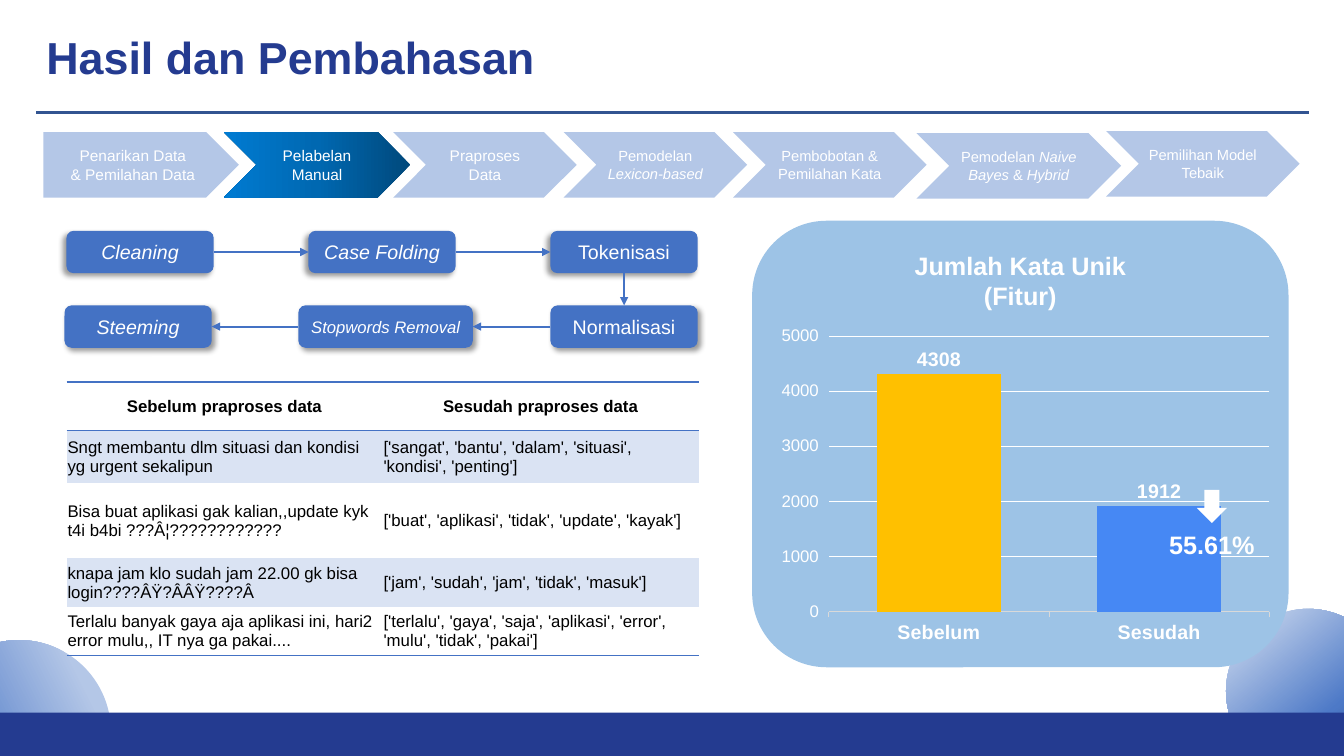
from dataclasses import dataclass

from lxml import etree
from pptx import Presentation
from pptx.chart.data import CategoryChartData
from pptx.dml.color import RGBColor
from pptx.enum.chart import XL_CHART_TYPE, XL_LABEL_POSITION, XL_TICK_MARK
from pptx.enum.shapes import MSO_CONNECTOR, MSO_SHAPE
from pptx.enum.text import MSO_ANCHOR, MSO_AUTO_SIZE, PP_ALIGN
from pptx.oxml.ns import qn
from pptx.util import Inches, Pt

COLUMN = XL_CHART_TYPE.COLUMN_CLUSTERED
OUTSIDE_END = XL_LABEL_POSITION.OUTSIDE_END
TICK_OUT = XL_TICK_MARK.OUTSIDE
STRAIGHT = MSO_CONNECTOR.STRAIGHT
OVAL, RECT, ROUND = MSO_SHAPE.OVAL, MSO_SHAPE.RECTANGLE, MSO_SHAPE.ROUNDED_RECTANGLE
PENTAGON, CHEVRON, DOWN_ARROW = MSO_SHAPE.PENTAGON, MSO_SHAPE.CHEVRON, MSO_SHAPE.DOWN_ARROW
MIDDLE, NO_AUTOFIT = MSO_ANCHOR.MIDDLE, MSO_AUTO_SIZE.NONE
LEFT, CENTER = PP_ALIGN.LEFT, PP_ALIGN.CENTER
TOP, LEFT_SIDE, BOTTOM, RIGHT_SIDE = range(4)
NO_STYLE = "{2D5ABB26-0587-4C30-8999-92F81FD0307C}"


@dataclass(frozen=True)
class Theme:
    """Colours, font and type sizes of the slide."""
    font: str = "Arial"
    navy: str = "243B90"
    rule: str = "325491"
    blue: str = "4472C4"
    pale: str = "B4C7E7"
    band: str = "DAE3F3"
    panel: str = "9DC3E6"
    amber: str = "FFC000"
    bright: str = "4688F4"
    axis: str = "D9D9D9"
    white: str = "FFFFFF"
    black: str = "000000"
    right_disc: tuple = ((16, "B4C7E7"), (63, "4D79C7"), (100, "264478"))
    left_disc: tuple = ((26, "B4C7E7"), (72, "4D79C7"), (100, "264478"))
    active: tuple = ((0, "00497C"), (50, "0068B1"), (100, "007BD2"))
    title_size: float = 32
    heading_size: float = 18
    box_size: float = 14
    small_box_size: float = 11.9
    table_size: float = 12
    step_size: float = 11
    small_step_size: float = 10.5


T = Theme()
STEPS = [
    (0.43, 1.31, 1.94, T.step_size, [[("Penarikan Data", False)], [("& Pemilahan Data", False)]]),
    (2.22, 1.31, 1.85, T.step_size, [[("Pelabelan Manual", False)]]),
    (3.9, 1.31, 1.82, T.step_size, [[("Praproses Data", False)]]),
    (5.59, 1.31, 1.82, T.small_step_size, [[("Pemodelan ", False), ("Lexicon-based", True)]]),
    (7.27, 1.31, 1.92, T.small_step_size, [[("Pembobotan & Pemilahan Kata", False)]]),
    (9.09, 1.32, 2.03, T.small_step_size,
     [[("Pemodelan ", False), ("Naive Bayes ", True), ("&", False), (" Hybrid", True)]]),
    (10.97, 1.3, 1.92, T.small_step_size, [[("Pemilihan Model Tebaik", False)]]),
]
ACTIVE_STEP = 1
FLOW = [
    ("Cleaning", 0.66, 2.29, 1.46, T.box_size, True),
    ("Case Folding", 3.06, 2.29, 1.46, T.box_size, True),
    ("Tokenisasi", 5.46, 2.29, 1.46, T.box_size, False),
    ("Normalisasi", 5.46, 3.03, 1.46, T.box_size, False),
    ("Stopwords Removal", 2.96, 3.03, 1.73, T.small_box_size, True),
    ("Steeming", 0.64, 3.03, 1.46, T.box_size, True),
]
FLOW_SIDES = [(RIGHT_SIDE, LEFT_SIDE)] * 2 + [(BOTTOM, TOP)] + [(LEFT_SIDE, RIGHT_SIDE)] * 2
ROWS = [
    ("Sebelum praproses data", "Sesudah praproses data"),
    ("Sngt membantu dlm situasi dan kondisi yg urgent sekalipun",
     "['sangat', 'bantu', 'dalam', 'situasi', 'kondisi', 'penting']"),
    ("Bisa buat aplikasi gak kalian,,update kyk t4i b4bi ???Â¦????????????",
     "['buat', 'aplikasi', 'tidak', 'update', 'kayak']"),
    ("knapa jam klo sudah jam 22.00 gk bisa login????ÂŸ?ÂÂŸ????Â",
     "['jam', 'sudah', 'jam', 'tidak', 'masuk']"),
    ("Terlalu banyak gaya aja aplikasi ini, hari2 error mulu,, IT nya ga pakai....",
     "['terlalu', 'gaya', 'saja', 'aplikasi', 'error', 'mulu', 'tidak', 'pakai']"),
]
ROW_HEIGHTS = [0.48, 0.52, 0.75, 0.48, 0.48]


def rgb(color):
    """Turn a hex string into a colour."""
    return RGBColor.from_string(color)


def style(font, size, color, bold=False, italic=False):
    """Format a font."""
    font.name, font.size, font.bold, font.italic = T.font, Pt(size), bold, italic
    font.color.rgb = rgb(color)


def write(tf, paragraphs, size, color=T.white, bold=False, align=CENTER):
    """Fill a text frame with paragraphs of (text, italic) runs."""
    tf.word_wrap, tf.vertical_anchor = True, MIDDLE
    for i, runs in enumerate(paragraphs):
        p = tf.add_paragraph() if i else tf.paragraphs[0]
        p.alignment = align
        for text, italic in runs:
            r = p.add_run()
            r.text = text
            style(r.font, size, color, bold, italic)


def add_block(slide, kind, box, fill):
    """Add a flat preset shape; fill is a colour."""
    sp = slide.shapes.add_shape(kind, *map(Inches, box))
    sp.shadow.inherit = False
    sp.fill.solid()
    sp.fill.fore_color.rgb = rgb(fill)
    sp.line.fill.background()
    return sp


def set_gradient(sp, stops, angle):
    """Give a shape a linear gradient, with a clockwise angle."""
    sp.fill.gradient()
    sp.fill.gradient_angle = -angle % 360
    gs_list = sp._element.spPr.find(".//" + qn("a:gsLst"))
    gs_list.clear()
    for position, color in stops:
        gs = etree.SubElement(gs_list, qn("a:gs"), pos=str(position * 1000))
        etree.SubElement(gs, qn("a:srgbClr"), val=color)


def set_shadow(sp, angle):
    """Give a shape a soft black shadow."""
    effects = sp._element.spPr.find(qn("a:effectLst"))
    shadow = etree.SubElement(effects, qn("a:outerShdw"), blurRad=str(Pt(4)), dist=str(Pt(3)),
                              dir=str(angle * 60000), rotWithShape="0")
    color = etree.SubElement(shadow, qn("a:srgbClr"), val=T.black)
    etree.SubElement(color, qn("a:alpha"), val="40000")


def add_line(slide, start, end, color, width):
    """Add a straight connector without shadow."""
    cx = slide.shapes.add_connector(STRAIGHT, *map(Inches, start + end))
    cx.line.color.rgb, cx.line.width = rgb(color), Pt(width)
    etree.SubElement(cx._element.spPr, qn("a:effectLst"))
    return cx


def add_arrow(slide, source, target, sides):
    """Join two boxes with an arrow."""
    cx = add_line(slide, (0, 0), (0, 0), T.blue, 1.5)
    cx.begin_connect(source, sides[0])
    cx.end_connect(target, sides[1])
    etree.SubElement(cx.line._get_or_add_ln(), qn("a:tailEnd"), type="triangle")


def add_label(slide, box, text):
    """Add a bold white label."""
    tb = slide.shapes.add_textbox(*map(Inches, box))
    write(tb.text_frame, [[(text, False)]], T.heading_size, bold=True)


def add_title(slide, text):
    """Place and format the title placeholder."""
    title = slide.shapes.title
    title.left, title.top, title.width, title.height = map(Inches, (0.36, 0.24, 5.08, 0.64))
    write(title.text_frame, [[(text, False)]], T.title_size, T.navy, True, LEFT)
    title.text_frame.word_wrap, title.text_frame.auto_size = False, NO_AUTOFIT


def add_flow(slide):
    """Add the preprocessing boxes and the arrows between them."""
    boxes = []
    for i, (text, left, top, width, size, italic) in enumerate(FLOW):
        sp = add_block(slide, ROUND, (left, top, width, 0.42), T.blue)
        set_shadow(sp, 135 if i < 3 else 45)
        write(sp.text_frame, [[(text, italic)]], size)
        boxes.append(sp)
    for source, target, sides in zip(boxes, boxes[1:], FLOW_SIDES):
        add_arrow(slide, source, target, sides)


def add_border(cell, side):
    """Draw one border of a cell."""
    ln = etree.SubElement(cell._tc.get_or_add_tcPr(), qn("a:" + side), w=str(Pt(1)))
    fill = etree.SubElement(ln, qn("a:solidFill"))
    etree.SubElement(fill, qn("a:srgbClr"), val=T.blue)


def add_comparison(slide):
    """Add the table of reviews before and after preprocessing."""
    frame = slide.shapes.add_table(len(ROWS), 2, *map(Inches, (0.66, 3.79, 6.27, sum(ROW_HEIGHTS))))
    table = frame.table
    table.first_row = table.horz_banding = False
    table._tbl.tblPr.find(qn("a:tableStyleId")).text = NO_STYLE
    for i, (texts, height) in enumerate(zip(ROWS, ROW_HEIGHTS)):
        table.rows[i].height = Inches(height)
        header = i == 0
        borders = ("lnT", "lnB") if header else ("lnB",) if i == len(ROWS) - 1 else ()
        for cell, text in zip(table.rows[i].cells, texts):
            margin = Inches(0.08 if header else 0.01)
            cell.margin_left = cell.margin_right = cell.margin_top = margin
            cell.margin_bottom = margin if header else 0
            cell.vertical_anchor = MIDDLE
            for side in borders:
                add_border(cell, side)
            if i % 2:
                cell.fill.solid()
                cell.fill.fore_color.rgb = rgb(T.band)
            else:
                cell.fill.background()
            p = cell.text_frame.paragraphs[0]
            p.text, p.alignment = text, CENTER if header else LEFT
            style(p.runs[0].font, T.table_size, T.black, header)


def add_word_chart(slide):
    """Add the column chart of unique words."""
    data = CategoryChartData()
    data.categories = ["Sebelum", "Sesudah"]
    data.add_series("Series 1", (4308, 1912))
    chart = slide.shapes.add_chart(COLUMN, *map(Inches, (7.65, 3.18, 5.04, 3.27)), data).chart
    chart.has_legend = chart.has_title = False
    style(chart.font, T.table_size, T.white)
    plot = chart.plots[0]
    plot.gap_width, plot.overlap, plot.vary_by_categories = 78, -27, False
    for i, color in enumerate((T.amber, T.bright)):
        fill = plot.series[0].points[i].format.fill
        fill.solid()
        fill.fore_color.rgb = rgb(color)
    labels = plot.series[0].data_labels
    labels.show_value, labels.position = True, OUTSIDE_END
    style(labels.font, T.box_size, T.white, True)
    cat, val = chart.category_axis, chart.value_axis
    cat.major_tick_mark = val.major_tick_mark = TICK_OUT
    style(cat.tick_labels.font, T.box_size, T.white, True)
    cat.format.line.color.rgb, cat.format.line.width = rgb(T.axis), Pt(0.75)
    style(val.tick_labels.font, T.table_size, T.white)
    val.minimum_scale, val.maximum_scale, val.major_unit = 0, 5000, 1000
    val.format.line.fill.background()
    grid = val.major_gridlines.format.line
    grid.color.rgb, grid.width = rgb(T.white), Pt(0.75)


def main():
    """Build the slide and save it."""
    prs = Presentation()
    prs.slide_width, prs.slide_height = Inches(13.33), Inches(7.5)
    slide = prs.slides.add_slide(prs.slide_layouts[5])
    set_gradient(add_block(slide, OVAL, (12.16, 6.04, 1.63, 1.63), T.pale), T.right_disc, 50)
    disc = add_block(slide, OVAL, (-0.72, 6.35, 1.82, 1.82), T.pale)
    set_gradient(disc, T.left_disc, 90)
    disc.rotation = 63.3
    add_line(slide, (0.36, 1.12), (12.98, 1.12), T.rule, 2.25)
    add_block(slide, RECT, (0, 7.07, 13.33, 0.43), T.navy)
    add_title(slide, "Hasil dan Pembahasan")
    for i, (left, top, width, size, paragraphs) in enumerate(STEPS):
        sp = add_block(slide, CHEVRON if i else PENTAGON, (left, top, width, 0.65), T.pale)
        if i == ACTIVE_STEP:
            set_gradient(sp, T.active, 180)
        write(sp.text_frame, paragraphs, size)
    add_comparison(slide)
    add_flow(slide)
    add_block(slide, ROUND, (7.46, 2.19, 5.32, 4.43), T.panel)
    add_word_chart(slide)
    add_label(slide, (8.92, 2.57, 2.4, 0.42), "Jumlah Kata Unik (Fitur)")
    add_block(slide, DOWN_ARROW, (11.87, 4.86, 0.3, 0.33), T.white)
    add_label(slide, (11.35, 5.19, 1.34, 0.42), "55.61%")
    prs.save("out.pptx")


if __name__ == "__main__":
    main()
